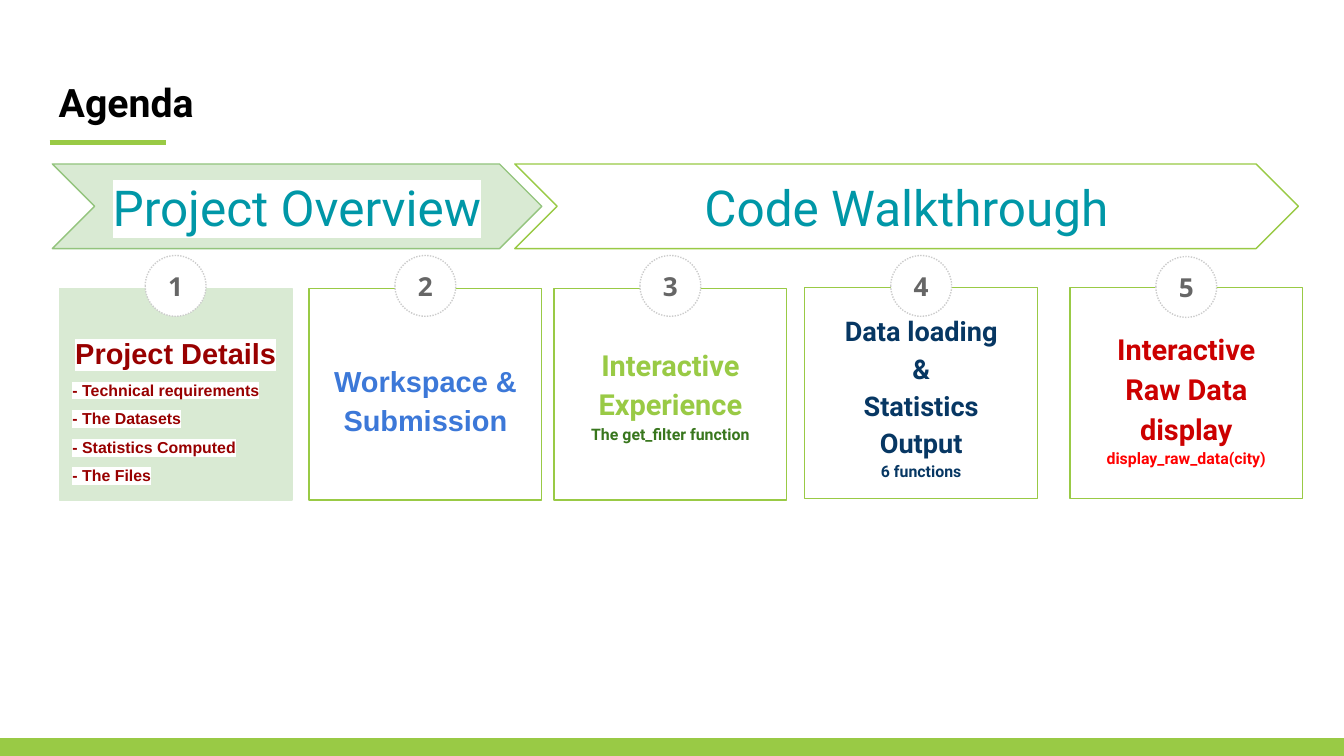
from lxml.etree import SubElement
from pptx import Presentation
from pptx.dml.color import RGBColor
from pptx.enum.dml import MSO_LINE
from pptx.enum.shapes import MSO_CONNECTOR, MSO_SHAPE
from pptx.enum.text import MSO_ANCHOR, PP_ALIGN
from pptx.oxml.ns import qn
from pptx.util import Cm, Pt

GREEN, PALE_GREEN, WHITE = "99CA45", "D9EAD3", "FFFFFF"
TEAL, MAROON, NAVY = "0097A7", "980000", "073763"
CARD_WIDTH, CARD_HEIGHT, BADGE = 4.4, 3.99, 1.15


def color(hex_string):
    return RGBColor.from_string(hex_string)


def write(frame, text, size=15.5, font="Roboto", ink="000000", bold=True,
          highlight=None, align=PP_ALIGN.CENTER, spacing=None):
    """Add one formatted paragraph, filling the empty first one if unused."""
    first = frame.paragraphs[0]
    paragraph = frame.add_paragraph() if first.runs else first
    paragraph.alignment = align
    paragraph.line_spacing = spacing
    run = paragraph.add_run()
    run.text = text
    run.font.size, run.font.bold = Pt(size), bold
    run.font.color.rgb = color(ink)
    if highlight:
        mark = SubElement(run.font._element, qn("a:highlight"))
        SubElement(mark, qn("a:srgbClr"), val=highlight)
    run.font.name = font


class AgendaSlide:
    def __init__(self, presentation):
        self.shapes = presentation.slides.add_slide(
            presentation.slide_layouts[6]).shapes

    def frame(self, shape, anchor=MSO_ANCHOR.MIDDLE):
        frame = shape.text_frame
        frame.word_wrap = True
        frame.vertical_anchor = anchor
        frame.margin_left = frame.margin_right = Cm(0.25)
        frame.margin_top = frame.margin_bottom = Cm(0.25)
        return frame

    def textbox(self, left, top, width, height, anchor=MSO_ANCHOR.MIDDLE):
        box = self.shapes.add_textbox(Cm(left), Cm(top), Cm(width), Cm(height))
        return self.frame(box, anchor)

    def shape(self, preset, left, top, width, height, fill=WHITE, line=GREEN):
        shape = self.shapes.add_shape(
            preset, Cm(left), Cm(top), Cm(width), Cm(height))
        shape.shadow.inherit = False
        shape.fill.solid()
        shape.fill.fore_color.rgb = color(fill)
        shape.line.color.rgb = color(line)
        shape.line.width = Pt(0.75)
        return shape

    def rule(self, left, top, width):
        rule = self.shapes.add_connector(
            MSO_CONNECTOR.STRAIGHT, Cm(left), Cm(top), Cm(left + width), Cm(top))
        rule.line.color.rgb = color(GREEN)
        rule.line.width = Pt(3)
        SubElement(rule._element.spPr, qn("a:effectLst"))

    def phase(self, text, left, width, fill, line):
        chevron = self.shape(MSO_SHAPE.CHEVRON, left, 3.1, width, 1.6, fill, line)
        write(self.frame(chevron), text, size=26.5, ink=TEAL, bold=False,
              highlight=WHITE)

    def card(self, number, left, top, badge_top, text_area, paragraphs,
             fill=WHITE, line=GREEN):
        self.shape(MSO_SHAPE.RECTANGLE, left, top, CARD_WIDTH, CARD_HEIGHT,
                   fill, line)
        badge = self.shape(MSO_SHAPE.OVAL, left + (CARD_WIDTH - BADGE) / 2,
                           badge_top, BADGE, BADGE, line="CCCCCC")
        badge.line.dash_style = MSO_LINE.ROUND_DOT
        write(self.frame(badge), str(number), size=14, font="Open Sans",
              ink="666666")
        text_top, width, height = text_area
        frame = self.textbox(left + (CARD_WIDTH - width) / 2, text_top,
                             width, height)
        for text, style in paragraphs:
            write(frame, text, **{"spacing": 1.15, **style})


def main():
    presentation = Presentation()
    presentation.slide_width, presentation.slide_height = Cm(25.4), Cm(14.29)
    agenda = AgendaSlide(presentation)

    # Title and footer bar
    write(agenda.textbox(0.86, 1.24, 23.67, 1.6, MSO_ANCHOR.TOP), "Agenda",
          size=21, align=PP_ALIGN.LEFT)
    agenda.rule(0.94, 2.69, 2.2)
    agenda.shape(MSO_SHAPE.RECTANGLE, 0, 13.97, 25.4, 0.32, fill=GREEN)

    # Phases
    agenda.phase("Project Overview", 0.99, 9.25, PALE_GREEN, "93C47D")
    agenda.phase("Code Walkthrough", 9.73, 14.81, WHITE, GREEN)

    # Numbered cards
    details = dict(font="Arial", ink=MAROON, highlight=WHITE, spacing=1.5)
    detail_item = dict(details, size=8.5, align=PP_ALIGN.LEFT)
    detail_items = ["- Technical requirements", "- The Datasets",
                    "- Statistics Computed", "- The Files"]
    loading = dict(size=14.5, ink=NAVY)

    agenda.card(1, 1.12, 5.46, 4.83, (5.74, CARD_WIDTH, 3.71),
                [("Project Details", details)]
                + [(item, detail_item) for item in detail_items],
                fill=PALE_GREEN, line=PALE_GREEN)
    agenda.card(2, 5.84, 5.46, 4.83, (5.97, CARD_WIDTH, 3.1), [
        ("Workspace & Submission",
         dict(font="Arial", ink="3C78D8", highlight=WHITE))])
    agenda.card(3, 10.47, 5.46, 4.83, (6.27, 3.89, 2.31), [
        ("Interactive Experience", dict(ink=GREEN)),
        ("The get_filter function", dict(size=8.5, ink="38761D"))])
    agenda.card(4, 15.21, 5.44, 4.83, (6.32, 3.89, 2.31), [
        ("Data loading", loading),
        ("&", loading),
        ("Statistics Output", loading),
        ("6 functions", dict(size=8.5, ink=NAVY))])
    agenda.card(5, 20.22, 5.44, 4.85, (6.35, 3.89, 2.31), [
        ("Interactive Raw Data display", dict(ink="CC0000")),
        ("display_raw_data(city)", dict(size=8.5, ink="FF0000"))])

    presentation.save("out.pptx")


if __name__ == "__main__":
    main()
